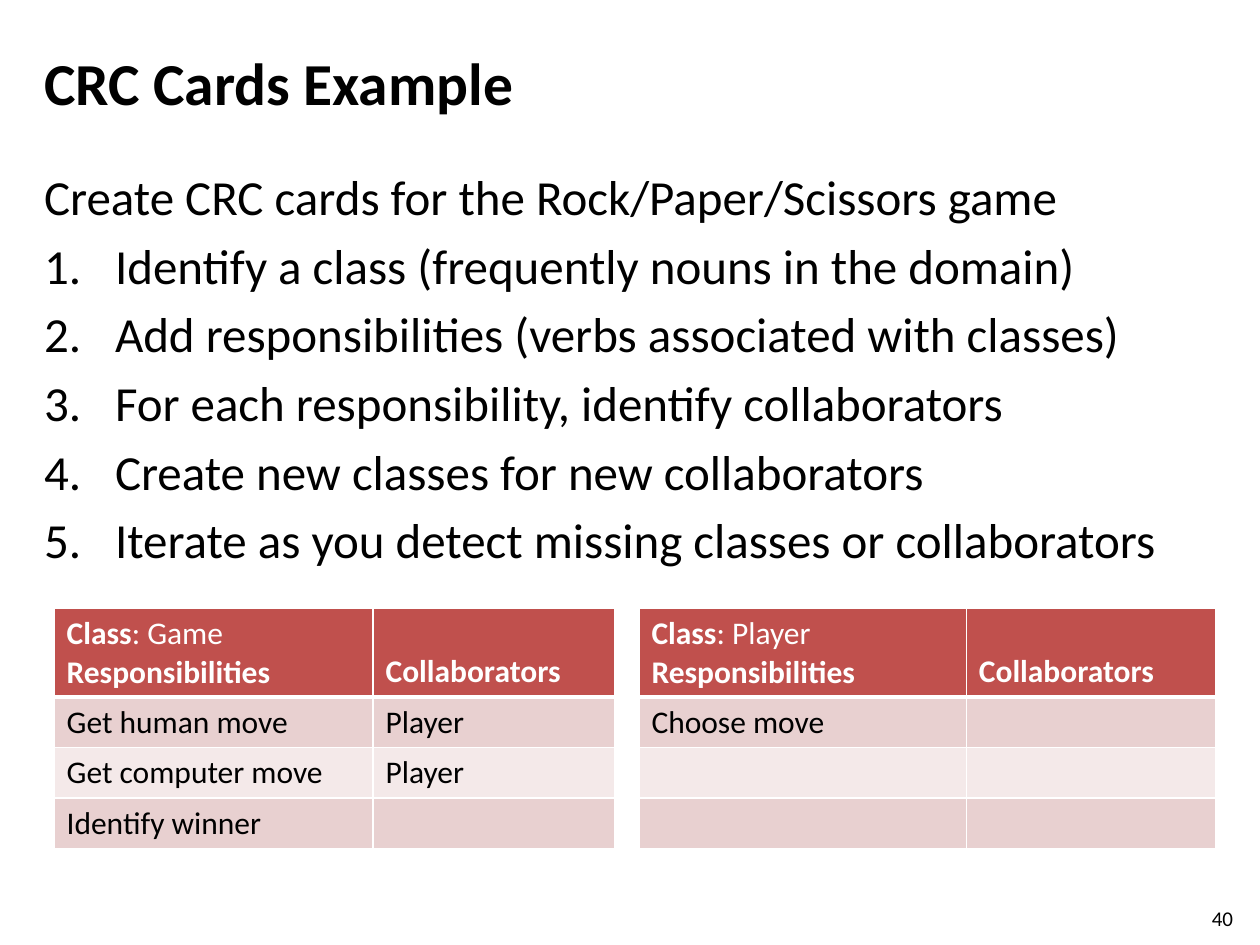
import dataclasses

import lxml.etree
import pptx
import pptx.dml.color
import pptx.enum.text
import pptx.oxml.ns
import pptx.util

Cm, Pt = pptx.util.Cm, pptx.util.Pt
qn = pptx.oxml.ns.qn
Anchor = pptx.enum.text.MSO_ANCHOR

FONT = "Calibri"
HUES = {
    "ink": "000000",
    "white": "FFFFFF",
    "head": "C0504D",
    "odd": "E8D0D0",
    "even": "F4E9E9",
}
STEPS = [
    "Identify a class (frequently nouns in the domain)",
    "Add responsibilities (verbs associated with classes)",
    "For each responsibility, identify collaborators",
    "Create new classes for new collaborators",
    "Iterate as you detect missing classes or collaborators",
]
INDENT = Cm(1.43)
CARD_TOP = Cm(12.27)
HEAD_ROW, BODY_ROW = Cm(1.75), Cm(1.02)


@dataclasses.dataclass
class Card:
    name: str
    left: float
    cols: tuple[float, float]
    rows: list[tuple[str, str]]


CARDS = [
    Card("Player", 12.88, (6.6, 5.03),
         [("Choose move", ""), ("", ""), ("", "")]),
    Card("Game", 1.09, (6.43, 4.88),
         [("Get human move", "Player"), ("Get computer move", "Player"),
          ("Identify winner", "")]),
]


def hue(key: str) -> pptx.dml.color.RGBColor:
    return pptx.dml.color.RGBColor.from_string(HUES[key])


def add_run(para, text: str, size: float, key: str = "ink",
            bold: bool = False) -> None:
    run = para.add_run()
    run.text = text
    run.font.name = FONT
    run.font.size = Pt(size)
    run.font.bold = bold
    run.font.color.rgb = hue(key)


def add_box(slide, left: float, top: float, width: float, height: float,
            anchor=Anchor.TOP):
    box = slide.shapes.add_textbox(Cm(left), Cm(top), Cm(width), Cm(height))
    frame = box.text_frame
    frame.word_wrap = True
    frame.vertical_anchor = anchor
    return frame


def number(para) -> None:
    """Give a paragraph a hanging automatic number."""
    props = para._p.get_or_add_pPr()
    props.set("marL", str(INDENT))
    props.set("indent", str(-INDENT))
    lxml.etree.SubElement(props, qn("a:buAutoNum"), type="arabicPeriod")


def style(cell, key: str, row: int) -> None:
    """Draw white cell borders, thick below the head row, then fill."""
    props = cell._tc.get_or_add_tcPr()
    thick = {0: "lnB", 1: "lnT"}.get(row)
    for side in ("lnL", "lnR", "lnT", "lnB"):
        width = Pt(3 if side == thick else 1)
        line = lxml.etree.SubElement(props, qn(f"a:{side}"), w=str(width))
        fill = lxml.etree.SubElement(line, qn("a:solidFill"))
        lxml.etree.SubElement(fill, qn("a:srgbClr"), val=HUES["white"])
    cell.fill.solid()
    cell.fill.fore_color.rgb = hue(key)


def add_card(slide, card: Card) -> None:
    count = len(card.rows) + 1
    table = slide.shapes.add_table(
        count, 2, Cm(card.left), CARD_TOP, Cm(sum(card.cols)),
        HEAD_ROW + BODY_ROW * len(card.rows)).table
    for col, width in zip(table.columns, card.cols):
        col.width = Cm(width)
    for i, row in enumerate(table.rows):
        row.height = BODY_ROW if i else HEAD_ROW
        key = ("even" if i % 2 == 0 else "odd") if i else "head"
        for cell in row.cells:
            style(cell, key, i)

    # Head row
    left, right = table.cell(0, 0), table.cell(0, 1)
    para = left.text_frame.paragraphs[0]
    add_run(para, "Class", 18, "white", True)
    add_run(para, f": {card.name}", 18, "white")
    add_run(left.text_frame.add_paragraph(), "Responsibilities", 18,
            "white", True)
    right.vertical_anchor = Anchor.BOTTOM
    add_run(right.text_frame.paragraphs[0], "Collaborators", 18,
            "white", True)

    # Duties and helpers
    for i, texts in enumerate(card.rows, 1):
        for j, text in enumerate(texts):
            if text:
                add_run(table.cell(i, j).text_frame.paragraphs[0], text, 18)


def main() -> None:
    deck = pptx.Presentation()
    deck.slide_width, deck.slide_height = Cm(25.4), Cm(19.05)
    slide = deck.slides.add_slide(deck.slide_layouts[6])

    # Title and page number
    title = add_box(slide, 0.64, 0.76, 22.02, 1.78, Anchor.MIDDLE)
    add_run(title.paragraphs[0], "CRC Cards Example", 34, bold=True)
    page = add_box(slide, 24.18, 18.14, 1.02, 0.61)
    add_run(page.paragraphs[0], "40", 12)

    # Task with numbered steps
    body = add_box(slide, 0.64, 3.23, 23.57, 11.13)
    add_run(body.paragraphs[0],
            "Create CRC cards for the Rock/Paper/Scissors game", 28)
    for step in STEPS:
        para = body.add_paragraph()
        number(para)
        add_run(para, step, 28)
    for para in body.paragraphs:
        para.space_after = Pt(5.6)

    # CRC cards
    for card in CARDS:
        add_card(slide, card)

    deck.save("out.pptx")


if __name__ == "__main__":
    main()
